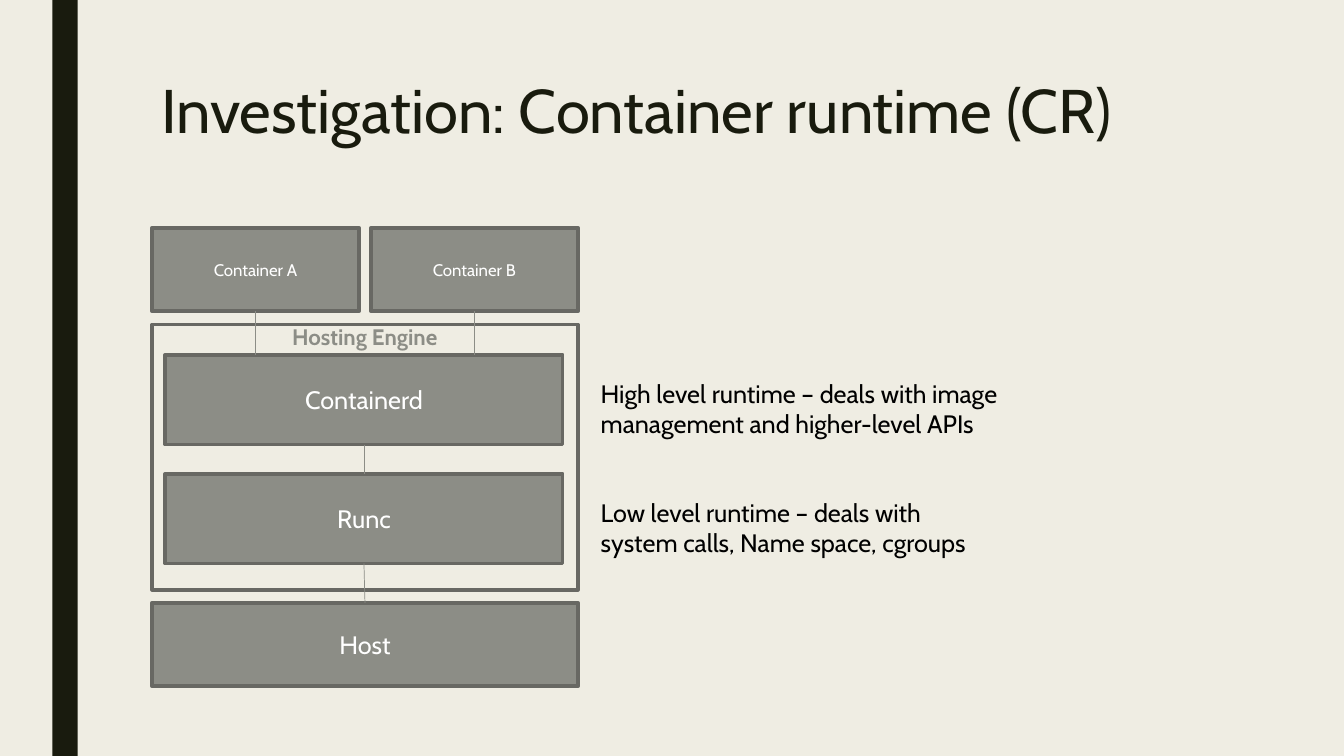
from lxml import etree
from pptx import Presentation
from pptx.dml.color import RGBColor
from pptx.enum.shapes import MSO_CONNECTOR, MSO_SHAPE
from pptx.enum.text import MSO_ANCHOR, MSO_AUTO_SIZE, PP_ALIGN
from pptx.oxml.ns import qn
from pptx.util import Inches, Pt

RECT = MSO_SHAPE.RECTANGLE
LINE = MSO_CONNECTOR.STRAIGHT
TOP, MIDDLE = MSO_ANCHOR.TOP, MSO_ANCHOR.MIDDLE
CENTER, LEFT = PP_ALIGN.CENTER, PP_ALIGN.LEFT
NO_FIT, GROW = MSO_AUTO_SIZE.NONE, MSO_AUTO_SIZE.SHAPE_TO_FIT_TEXT
ABOVE, BELOW = 0, 2

FONT = "Cabin"
COLORS = {
    "paper": "EFEDE3",
    "ink": "191B0E",
    "gray": "8C8D86",
    "edge": "686863",
    "white": "FFFFFF",
    "black": "000000",
}


def color(name):
    return RGBColor.from_string(COLORS[name])


def write(frame, text, size, tint, bold=False, align=LEFT):
    par = frame.paragraphs[0]
    par.alignment = align
    run = par.add_run()
    run.text = text
    run.font.name = FONT
    run.font.size = Pt(size)
    run.font.bold = bold
    run.font.color.rgb = color(tint)
    return par


def add_rect(shapes, x, y, w, h, fill=None, edge=None):
    rect = shapes.add_shape(RECT, Inches(x), Inches(y), Inches(w), Inches(h))
    rect.shadow.inherit = False
    if fill:
        rect.fill.solid()
        rect.fill.fore_color.rgb = color(fill)
    else:
        rect.fill.background()
    if edge:
        rect.line.color.rgb = color(edge)
        rect.line.width = Pt(2.75)
    else:
        rect.line.fill.background()
    return rect


def add_block(shapes, text, x, y, w, h, size=18):
    """Add a gray labelled layer of the stack."""
    block = add_rect(shapes, x, y, w, h, "gray", "edge")
    block.text_frame.word_wrap = True
    block.text_frame.vertical_anchor = MIDDLE
    write(block.text_frame, text, size, "white", align=CENTER)
    return block


def add_note(shapes, text, x, y, w, h, size=18, tint="black", bold=False):
    box = shapes.add_textbox(Inches(x), Inches(y), Inches(w), Inches(h))
    box.text_frame.word_wrap = True
    box.text_frame.auto_size = GROW
    write(box.text_frame, text, size, tint, bold)


def add_link(shapes, upper, lower, joined=True):
    """Run a line down from one block to the next, joined below if centred."""
    mid = upper.left + upper.width // 2
    link = shapes.add_connector(LINE, mid, upper.top + upper.height, mid, lower.top)
    link.begin_connect(upper, BELOW)
    if joined:
        link.end_connect(lower, ABOVE)
    link.line.color.rgb = color("gray")
    link.line.width = Pt(0.5)
    etree.SubElement(link._element.spPr, qn("a:effectLst"))


def add_title(slide, text):
    title = slide.shapes.title
    title.left, title.top = Inches(1.5), Inches(0.75)
    title.width, title.height = Inches(10.5), Inches(1.62)
    frame = title.text_frame
    frame.word_wrap = True
    frame.auto_size = NO_FIT
    frame.vertical_anchor = TOP
    write(frame, text, 44, "ink").line_spacing = 0.89


def add_stack(slide):
    shapes = slide.shapes.add_group_shape().shapes
    host = add_block(shapes, "Host", 1.51, 5.98, 4.22, 0.83)
    add_rect(shapes, 1.51, 3.22, 4.22, 2.63, edge="edge")
    apps = [
        add_block(shapes, f"Container {name}", 1.51 + 2.17 * i, 2.26, 2.05, 0.83, 12)
        for i, name in enumerate("AB")
    ]
    high, low = [
        add_block(shapes, name, 1.64, 3.52 + 1.18 * i, 3.94, 0.89)
        for i, name in enumerate(("Containerd", "Runc"))
    ]
    add_note(shapes, "Hosting Engine", 2.8, 3.16, 1.86, 0.37, 16, "gray", True)
    for app in apps:
        add_link(shapes, app, high, joined=False)
    add_link(shapes, high, low)
    add_link(shapes, low, host)


def main():
    deck = Presentation()
    deck.slide_width, deck.slide_height = Inches(13.33), Inches(7.5)
    slide = deck.slides.add_slide(deck.slide_layouts[5])
    slide.background.fill.solid()
    slide.background.fill.fore_color.rgb = color("paper")

    add_rect(slide.shapes, 0.52, 0, 0.25, 7.5, "ink")
    add_title(slide, "Investigation: Container runtime (CR)")
    add_stack(slide)
    notes = (
        "High level runtime – deals with image management and higher-level APIs",
        "Low level runtime – deals with system calls, Name space, cgroups",
    )
    for i, note in enumerate(notes):
        add_note(slide.shapes, note, 5.86, 3.7 + 1.18 * i, 4.17, 0.71)
    deck.save("out.pptx")


if __name__ == "__main__":
    main()
